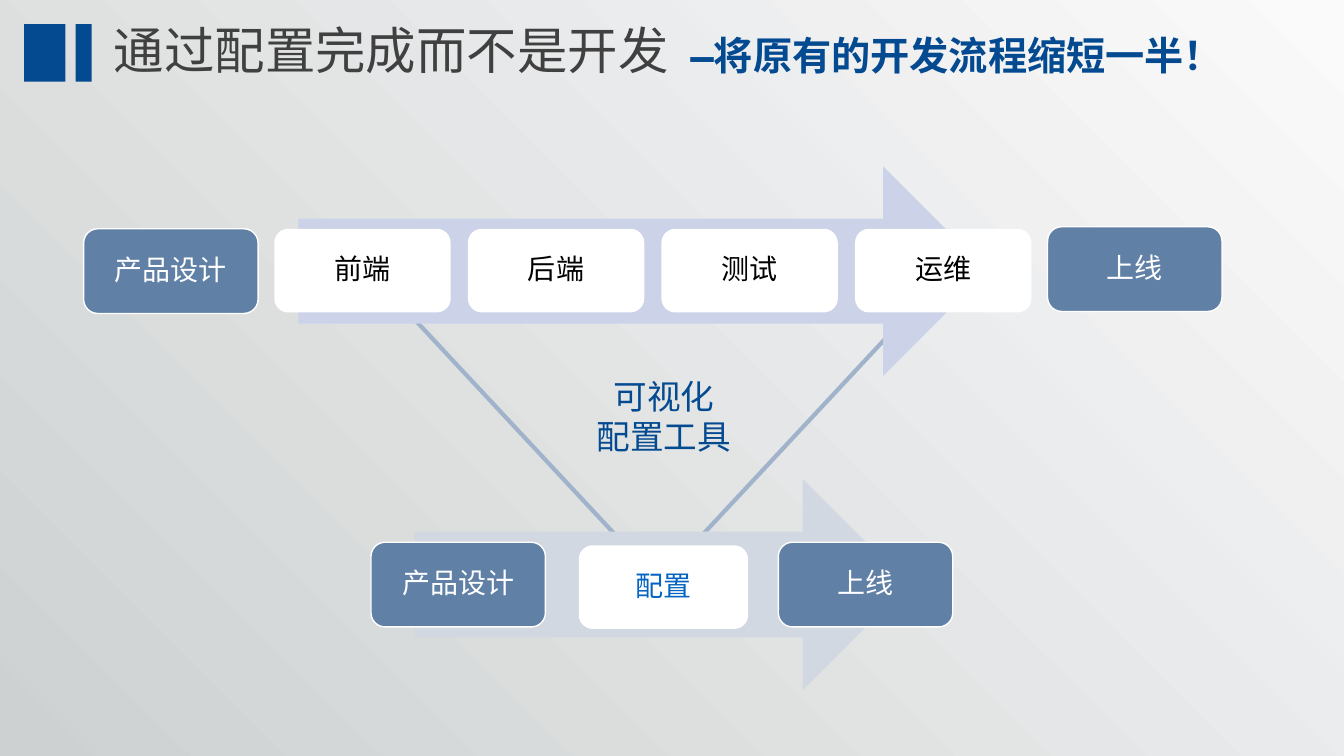
from dataclasses import dataclass

import lxml.etree
import pptx
import pptx.dml.color
import pptx.enum.shapes
import pptx.enum.text
import pptx.oxml
import pptx.oxml.ns
import pptx.util

Inches = pptx.util.Inches
Preset = pptx.enum.shapes.MSO_SHAPE
Anchor = pptx.enum.text.MSO_ANCHOR
Align = pptx.enum.text.PP_ALIGN

FONT = "Noto Sans Mono"
COLORS = {
    "brand": "044A91", "title": "404040", "stage": "6080A6", "white": "FFFFFF",
    "black": "000000", "config": "0563C1", "funnel": "A0B3CA",
    "long_arrow": "CCD3E9", "short_arrow": "D2D8E1",
    "back_dark": "CED1D2", "back_light": "FAFAFA",
}
TEXT_SHADOW = (
    '<a:effectLst xmlns:a="http://schemas.openxmlformats.org/drawingml/2006/main">'
    '<a:outerShdw blurRad="38100" dist="38100" dir="2700000" algn="tl">'
    '<a:srgbClr val="000000"><a:alpha val="43000"/></a:srgbClr>'
    '</a:outerShdw></a:effectLst>'
)


@dataclass(frozen=True)
class Block:
    """A preset shape in inches; an empty fill or line means none."""
    preset: Preset
    left: float
    top: float
    width: float
    height: float
    fill: str = ""
    line: str = ""
    line_width: float = 1
    text: str = ""
    text_color: str = "white"


def rgb(name: str) -> pptx.dml.color.RGBColor:
    return pptx.dml.color.RGBColor.from_string(COLORS[name])


def format_text(frame, size: float, color: str, bold: bool = False,
                align: Align = Align.LEFT, spacing: float = 1.0) -> None:
    for para in frame.paragraphs:
        para.alignment = align
        para.line_spacing = spacing
        for span in para.runs:
            span.font.size = pptx.util.Pt(size)
            span.font.bold = bold
            span.font.color.rgb = rgb(color)
            span.font.name = FONT
            east_asian = lxml.etree.SubElement(
                span.font._element, pptx.oxml.ns.qn("a:ea"))
            east_asian.set("typeface", FONT)


def add_block(page, block: Block) -> None:
    shape = page.shapes.add_shape(
        block.preset, Inches(block.left), Inches(block.top),
        Inches(block.width), Inches(block.height))
    shape.shadow.inherit = False
    if block.fill:
        shape.fill.solid()
        shape.fill.fore_color.rgb = rgb(block.fill)
    else:
        shape.fill.background()
    if block.line:
        shape.line.color.rgb = rgb(block.line)
        shape.line.width = pptx.util.Pt(block.line_width)
    else:
        shape.line.fill.background()
    if block.text:
        frame = shape.text_frame
        frame.text = block.text
        frame.vertical_anchor = Anchor.MIDDLE
        format_text(frame, 20, block.text_color, align=Align.CENTER, spacing=0.9)


def add_label(page, text: str, left: float, top: float, width: float, height: float):
    box = page.shapes.add_textbox(
        Inches(left), Inches(top), Inches(width), Inches(height))
    box.text_frame.word_wrap = True
    box.text_frame.text = text
    return box.text_frame


def stage(text: str, left: float, top: float) -> Block:
    return Block(Preset.ROUNDED_RECTANGLE, left, top, 1.73, 0.84,
                 "stage", "white", text=text)


def add_background(page) -> None:
    fill = page.background.fill
    fill.gradient()
    fill.gradient_angle = 45
    for stop, name in zip(fill.gradient_stops, ("back_dark", "back_light")):
        stop.color.rgb = rgb(name)


def add_title(page) -> None:
    title = page.shapes.title
    title.left, title.top = Inches(1.03), Inches(0.24)
    title.width, title.height = Inches(6.71), Inches(0.57)
    title.text_frame.text = "通过配置完成而不是开发"
    title.text_frame.vertical_anchor = Anchor.MIDDLE
    format_text(title.text_frame, 36, "title", spacing=0.9)


def main() -> None:
    deck = pptx.Presentation()
    deck.slide_width, deck.slide_height = Inches(13.33), Inches(7.5)
    page = deck.slides.add_slide(deck.slide_layouts[5])
    add_background(page)
    add_title(page)

    replaced_steps = [
        Block(Preset.ROUNDED_RECTANGLE, 2.72 + 1.92 * index, 2.27, 1.75, 0.83,
              "white", text=text, text_color="black")
        for index, text in enumerate(("前端", "后端", "测试", "运维"))
    ]
    blocks = [
        Block(Preset.RECTANGLE, 0.24, 0.24, 0.41, 0.57, "brand"),
        Block(Preset.RECTANGLE, 0.75, 0.24, 0.16, 0.57, "brand"),
        Block(Preset.FLOWCHART_MERGE, 3.59, 2.61, 5.89, 3.16,
              line="funnel", line_width=3),
        Block(Preset.RIGHT_ARROW, 2.96, 1.65, 6.84, 2.08, "long_arrow"),
        *replaced_steps,
        stage("产品设计", 0.83, 2.27),
        stage("上线", 10.39, 2.25),
        Block(Preset.RIGHT_ARROW, 4.11, 4.75, 4.9, 2.1, "short_arrow"),
        stage("产品设计", 3.68, 5.38),
        stage("上线", 7.72, 5.38),
        Block(Preset.ROUNDED_RECTANGLE, 5.74, 5.41, 1.68, 0.83, "white",
              text="配置", text_color="config"),
    ]
    for block in blocks:
        add_block(page, block)

    tool = add_label(page, "可视化\n配置工具", 5.73, 3.68, 1.71, 0.91)
    format_text(tool, 24, "brand", align=Align.CENTER)
    for para in tool.paragraphs:
        for span in para.runs:
            fill = span.font._element.find(pptx.oxml.ns.qn("a:solidFill"))
            fill.addnext(pptx.oxml.parse_xml(TEXT_SHADOW))

    subtitle = add_label(page, "—将原有的开发流程缩短一半！", 6.75, 0.26, 5.8, 0.57)
    format_text(subtitle, 28, "brand", bold=True)

    deck.save("out.pptx")


if __name__ == "__main__":
    main()
